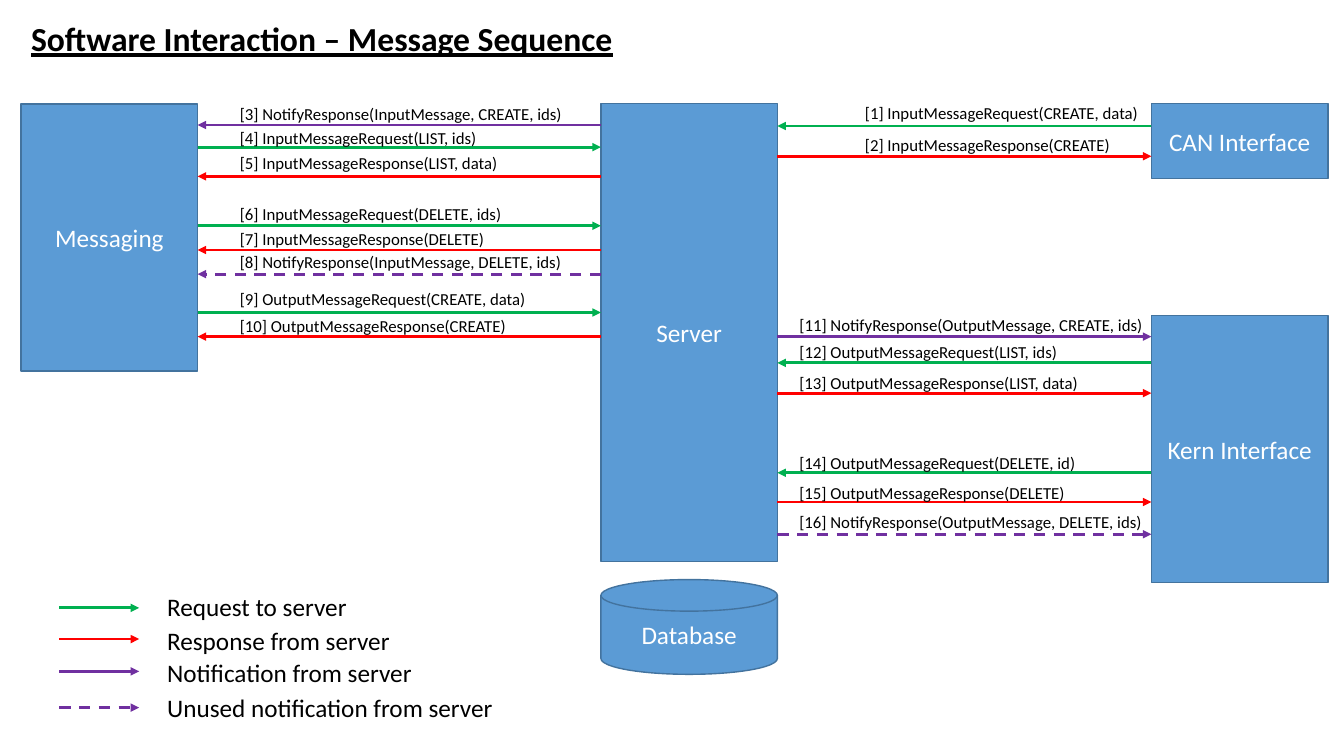
from lxml.etree import SubElement
from pptx import Presentation
from pptx.dml.color import RGBColor
from pptx.enum.dml import MSO_LINE
from pptx.enum.shapes import MSO_CONNECTOR, MSO_SHAPE
from pptx.enum.text import MSO_ANCHOR, MSO_AUTO_SIZE, PP_ALIGN
from pptx.oxml.ns import qn
from pptx.util import Inches, Pt

BLUE = RGBColor(0x5B, 0x9B, 0xD5)
EDGE = RGBColor(0x43, 0x73, 0x9E)
GREEN = RGBColor(0x00, 0xB0, 0x50)
RED = RGBColor(0xFF, 0x00, 0x00)
PURPLE = RGBColor(0x70, 0x30, 0xA0)
BLACK = RGBColor(0, 0, 0)
WHITE = RGBColor(255, 255, 255)

STYLES = {
    "request": (GREEN, False),
    "response": (RED, False),
    "notice": (PURPLE, False),
    "unused": (PURPLE, True),
}

WIDE = 1.75
LEFT, MID, RIGHT = 0.21, 5.96, 11.42

NODES = [
    ("Messaging", MSO_SHAPE.RECTANGLE, LEFT, 1.03, 2.65),
    ("Server", MSO_SHAPE.RECTANGLE, MID, 1.03, 4.54),
    ("CAN Interface", MSO_SHAPE.RECTANGLE, RIGHT, 1.03, 0.74),
    ("Kern Interface", MSO_SHAPE.RECTANGLE, RIGHT, 3.13, 2.65),
    ("Database", MSO_SHAPE.FLOWCHART_MAGNETIC_DISK, MID, 5.75, 0.94),
]

CAN_ROWS = [
    (1.25, 0.97, 2.94, "request", "[1] InputMessageRequest(CREATE, data)"),
    (1.55, 1.29, 2.66, "response", "[2] InputMessageResponse(CREATE)"),
]
MESSAGING_ROWS = [
    (1.24, 0.98, 3.43, "notice", "[3] NotifyResponse(InputMessage, CREATE, ids)"),
    (1.46, 1.22, 2.57, "request", "[4] InputMessageRequest(LIST, ids)"),
    (1.75, 1.47, 2.78, "response", "[5] InputMessageResponse(LIST, data)"),
    (2.24, 1.97, 2.82, "request", "[6] InputMessageRequest(DELETE, ids)"),
    (2.48, 2.22, 2.73, "response", "[7] InputMessageResponse(DELETE)"),
    (2.72, 2.45, 3.43, "unused", "[8] NotifyResponse(InputMessage, DELETE, ids)"),
    (3.1, 2.82, 3.07, "request", "[9] OutputMessageRequest(CREATE, data)"),
    (3.34, 3.08, 2.87, "response", "[10] OutputMessageResponse(CREATE)"),
]
KERN_ROWS = [
    (3.34, 3.07, 3.65, "notice", "[11] NotifyResponse(OutputMessage, CREATE, ids)"),
    (3.6, 3.34, 2.79, "request", "[12] OutputMessageRequest(LIST, ids)"),
    (3.9, 3.65, 3.0, "response", "[13] OutputMessageResponse(LIST, data)"),
    (4.69, 4.44, 3.04, "request", "[14] OutputMessageRequest(DELETE, id)"),
    (4.98, 4.74, 2.94, "response", "[15] OutputMessageResponse(DELETE)"),
    (5.3, 5.03, 3.64, "unused", "[16] NotifyResponse(OutputMessage, DELETE, ids)"),
]
LEGEND = [
    (0.21, 0, 2.0, "request", "Request to server"),
    (0.52, 0.33, 2.43, "response", "Response from server"),
    (0.84, 0.65, 2.66, "notice", "Notification from server"),
    (1.2, 1.0, 3.47, "unused", "Unused notification from server"),
]


def set_font(para, size, color):
    font = para.runs[0].font
    font.name = "Calibri"
    font.size = Pt(size)
    font.color.rgb = color
    return font


def add_label(slide, text, left, top, width, height, size):
    box = slide.shapes.add_textbox(
        Inches(left), Inches(top), Inches(width), Inches(height))
    frame = box.text_frame
    frame.text = text
    frame.word_wrap = False
    frame.auto_size = MSO_AUTO_SIZE.SHAPE_TO_FIT_TEXT
    return set_font(frame.paragraphs[0], size, BLACK)


def add_arrow(slide, start, end, y, kind):
    color, dashed = STYLES[kind]
    arrow = slide.shapes.add_connector(
        MSO_CONNECTOR.STRAIGHT, Inches(start), Inches(y), Inches(end), Inches(y))
    arrow.line.color.rgb = color
    arrow.line.width = Pt(2)
    if dashed:
        arrow.line.dash_style = MSO_LINE.DASH
    SubElement(arrow.line._get_or_add_ln(), qn("a:tailEnd"), type="triangle")
    SubElement(arrow._element.spPr, qn("a:effectLst"))


def add_node(slide, name, form, left, top, height):
    node = slide.shapes.add_shape(
        form, Inches(left), Inches(top), Inches(WIDE), Inches(height))
    node.shadow.inherit = False
    node.fill.solid()
    node.fill.fore_color.rgb = BLUE
    node.line.color.rgb = EDGE
    node.line.width = Pt(1)
    frame = node.text_frame
    frame.text = name
    frame.vertical_anchor = MSO_ANCHOR.MIDDLE
    para = frame.paragraphs[0]
    para.alignment = PP_ALIGN.CENTER
    set_font(para, 18, WHITE)


def add_lane(slide, client, server, label, rows):
    for y, top, width, kind, text in rows:
        ends = (client, server) if kind == "request" else (server, client)
        add_arrow(slide, *ends, y, kind)
        add_label(slide, text, label, top, width, 0.3, 12)


def add_legend(slide, left, top):
    for y, drop, width, kind, text in LEGEND:
        add_arrow(slide, left, left + 0.79, top + y, kind)
        add_label(slide, text, left + 0.97, top + drop, width, 0.4, 18)


def add_title(slide, left, top):
    font = add_label(slide, "Software Interaction – Message Sequence",
                     left, top, 6.04, 0.5, 24)
    font.bold = True
    font.underline = True


def main():
    deck = Presentation()
    deck.slide_width = Inches(13.33)
    deck.slide_height = Inches(7.5)
    slide = deck.slides.add_slide(deck.slide_layouts[6])
    for node in NODES:
        add_node(slide, *node)
    add_lane(slide, RIGHT, MID + WIDE, 8.48, CAN_ROWS)
    add_lane(slide, LEFT + WIDE, MID, 2.28, MESSAGING_ROWS)
    add_lane(slide, RIGHT, MID + WIDE, 7.83, KERN_ROWS)
    add_legend(slide, 0.59, 5.82)
    add_title(slide, LEFT, 0.13)
    deck.save("out.pptx")


if __name__ == "__main__":
    main()
